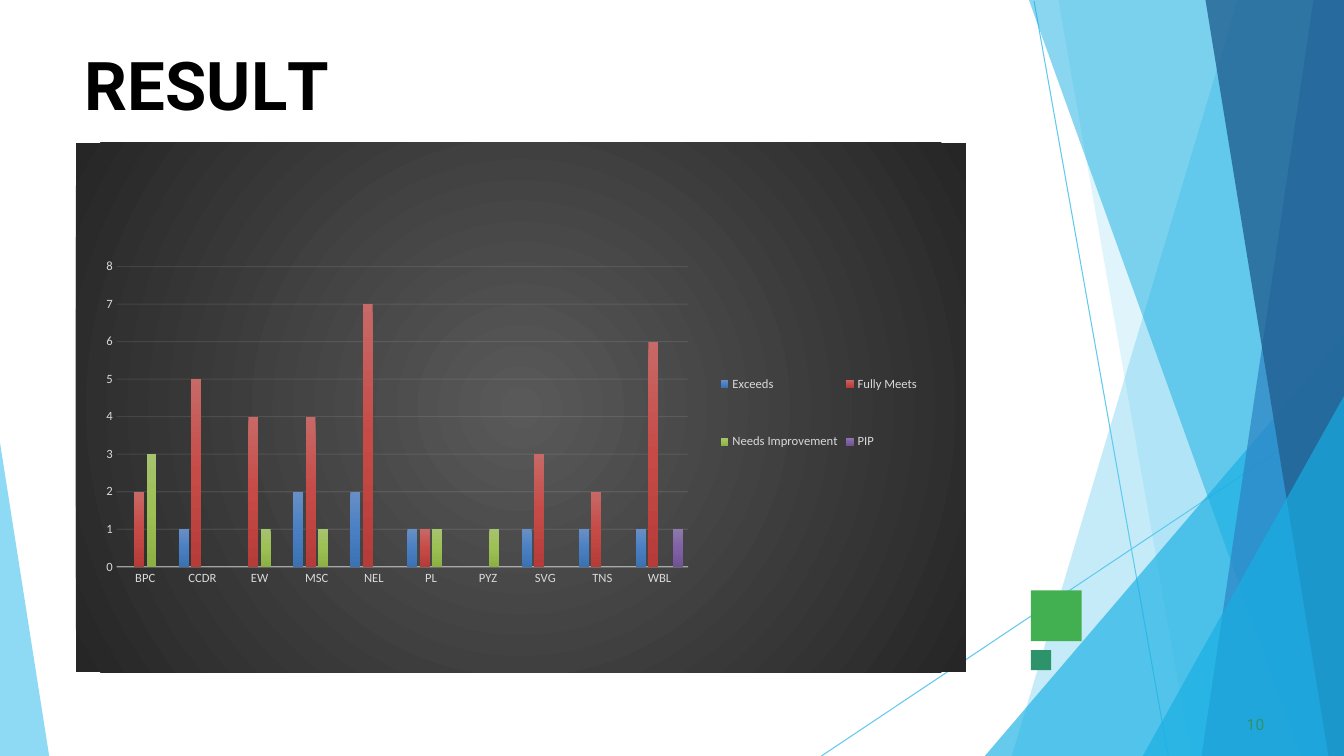
"""Build the results slide: a clustered column chart beside a fan of blue shards."""
from lxml.etree import SubElement
from pptx import Presentation
from pptx.chart.data import CategoryChartData
from pptx.dml.color import RGBColor
from pptx.enum.chart import XL_CHART_TYPE, XL_LEGEND_POSITION, XL_TICK_MARK
from pptx.enum.shapes import MSO_CONNECTOR, MSO_SHAPE
from pptx.oxml import parse_xml
from pptx.oxml.ns import nsdecls, qn
from pptx.util import Cm, Pt

HUES = {
    "sky": "5FCAEE", "azure": "17AFE3", "blue": "2D83C3", "navy": "226192",
    "green": "42AF51", "teal": "2D936B", "black": "000000",
    "label": "D9D9D9", "rule": "F2F2F2",
}
WIDE, HIGH = 33.87, 19.05


def paint(color, hue, alpha=100):
    """Set a solid colour and its opacity in percent."""
    color.rgb = RGBColor.from_string(HUES[hue])
    if alpha < 100:
        tag = color._xFill.find(qn("a:srgbClr"))
        SubElement(tag, qn("a:alpha")).set("val", str(alpha * 1000))


def blend(stops, shade):
    """Return a gradient fill with evenly spaced stops."""
    step = 100000 // (len(stops) - 1)
    marks = "".join(f'<a:gs pos="{i * step}"><a:srgbClr val="{hue}"/></a:gs>'
                    for i, hue in enumerate(stops))
    return parse_xml(f'<a:gradFill {nsdecls("a")} rotWithShape="1">'
                     f'<a:gsLst>{marks}</a:gsLst>{shade}</a:gradFill>')


deck = Presentation()
deck.slide_width, deck.slide_height = Cm(WIDE), Cm(HIGH)
slide = deck.slides.add_slide(deck.slide_layouts[6])
shapes = slide.shapes

for x1, y1, x2, y2 in [(26.06, 0.03, 29.44, HIGH), (WIDE, 10.26, 20.7, HIGH)]:
    ray = shapes.add_connector(MSO_CONNECTOR.STRAIGHT, Cm(x1), Cm(y1), Cm(x2), Cm(y2))
    ray.line.fill.solid()
    paint(ray.line.fill.fore_color, "sky")
    ray.line.width = Pt(0.75)
    SubElement(ray._element.spPr, qn("a:effectLst"))

shards = [
    (WIDE, 0, 31.19, 25.5, "sky", 36),
    (WIDE, 0, 26.67, 30.02, "sky", 20),
    (WIDE, 8.46, WIDE, 24.82, "azure", 66),
    (WIDE, 0, 25.93, 32.79, "azure", 50),
    (WIDE, 0, 33.1, 30.28, "blue", 70),
    (WIDE, 0, 30.38, 33.48, "navy", 80),
    (WIDE, 9.98, WIDE, 28.8, "azure", 66),
    (0, 11.15, 0, 1.24, "sky", 70),
]
for side, top, head, foot, hue, alpha in shards:
    pen = shapes.build_freeform(Cm(side), Cm(top))
    pen.add_line_segments([(Cm(head), Cm(top)), (Cm(foot), Cm(HIGH)), (Cm(side), Cm(HIGH))])
    shard = pen.convert_to_shape()
    shard.shadow.inherit = False
    shard.fill.solid()
    paint(shard.fill.fore_color, hue, alpha)
    shard.line.fill.background()

for top, size, hue in [(14.88, 1.28, "green"), (16.38, 0.51, "teal")]:
    block = shapes.add_shape(MSO_SHAPE.RECTANGLE, Cm(25.98), Cm(top), Cm(size), Cm(size))
    block.shadow.inherit = False
    block.fill.solid()
    paint(block.fill.fore_color, hue)
    block.line.fill.background()

labels = [
    (2.11, 1.07, 6.78, 2.11, 0.03, 1.1, 48, True, "black", [("RESU", 0), ("L", -4), ("T", 0)]),
    (31.32, 17.98, 0.64, 0.53, 0.1, 0.6, 11, False, "teal", [("10", 0.1)]),
]
for left, top, width, height, inset, gap, size, bold, hue, parts in labels:
    frame = shapes.add_textbox(Cm(left), Cm(top), Cm(width), Cm(height)).text_frame
    frame.word_wrap = True
    frame.margin_left, frame.margin_top = Cm(inset), Cm(0.03)
    frame.margin_right = frame.margin_bottom = 0
    para = frame.paragraphs[0]
    para.space_before = Pt(gap)
    for word, space in parts:
        run = para.add_run()
        run.text = word
        run.font.name, run.font.size, run.font.bold = "Roboto", Pt(size), bold
        paint(run.font.color, hue)
        run.font._element.set("spc", str(int(space * 100)))

data = CategoryChartData()
data.categories = ["BPC", "CCDR", "EW", "MSC", "NEL", "PL", "PYZ", "SVG", "TNS", "WBL"]
series = [
    ("Exceeds", [None, 1, None, 2, 2, 1, None, 1, 1, 1], ["688FC5", "4A80C3", "3B72B3"]),
    ("Fully Meets", [2, 5, 4, 4, 7, 1, None, 3, 2, 6], ["C76967", "C64B47", "B63C39"]),
    ("Needs Improvement", [3, None, 1, 1, None, 1, 1, None, None, None],
     ["A6C36F", "9DC054", "8DB045"]),
    ("PIP", [None] * 9 + [1], ["8E78AC", "8061A5", "715396"]),
]
for name, values, _ in series:
    data.add_series(name, values)
chart = shapes.add_chart(XL_CHART_TYPE.COLUMN_CLUSTERED, Cm(1.91), Cm(3.6),
                         Cm(22.43), Cm(13.34), data).chart
chart.has_title = False
chart.font.name, chart.font.size = "Calibri", Pt(10)
paint(chart.font.color, "black")

plot = chart.plots[0]
plot.gap_width, plot.overlap, plot.vary_by_categories = 100, -24, False
for bars, (_, _, stops) in zip(plot.series, series):
    bars.invert_if_negative = False
    bars._element.get_or_add_spPr().append(blend(stops, '<a:lin ang="5400000" scaled="0"/>'))

cats, vals = chart.category_axis, chart.value_axis
vals.minimum_scale, vals.maximum_scale, vals.major_unit = 0, 8, 1
vals.has_major_gridlines = True
vals.format.line.fill.background()
for line, width, alpha in [(cats.format.line, 1, 54),
                           (vals.major_gridlines.format.line, 0.75, 10)]:
    line.width = Pt(width)
    line.fill.solid()
    paint(line.fill.fore_color, "rule", alpha)
for axis in (cats, vals):
    axis.major_tick_mark = axis.minor_tick_mark = XL_TICK_MARK.NONE

chart.has_legend = True
legend = chart.legend
legend.position = XL_LEGEND_POSITION.RIGHT
legend.include_in_layout = False
for font in (cats.tick_labels.font, vals.tick_labels.font, legend.font):
    font.name, font.size = "Calibri", Pt(9)
    paint(font.color, "label")

space = chart._chartSpace
area = space.chart.plotArea
for old in area.findall(qn("c:layout")) + legend._element.findall(qn("c:layout")):
    old.getparent().remove(old)
for host, spot, target, box in [
        (area, 0, '<c:layoutTarget val="inner"/>', (0.046, 0.234, 0.642, 0.567)),
        (legend._element, 1, "", (0.72, 0.36, 0.23, 0.3))]:
    modes = '<c:xMode val="edge"/><c:yMode val="edge"/>'
    sides = "".join(f'<c:{key} val="{part}"/>' for key, part in zip("xywh", box))
    host.insert(spot, parse_xml(f'<c:layout {nsdecls("c")}><c:manualLayout>{target}{modes}{sides}'
                                '</c:manualLayout></c:layout>'))

back = parse_xml(f'<c:spPr {nsdecls("c", "a")}><a:ln><a:noFill/></a:ln></c:spPr>')
back.insert(0, blend(["595959", "262626"], '<a:path path="circle"><a:fillToRect '
                     'l="50000" t="50000" r="50000" b="50000"/></a:path>'))
space.chart.addnext(back)

deck.save("out.pptx")
